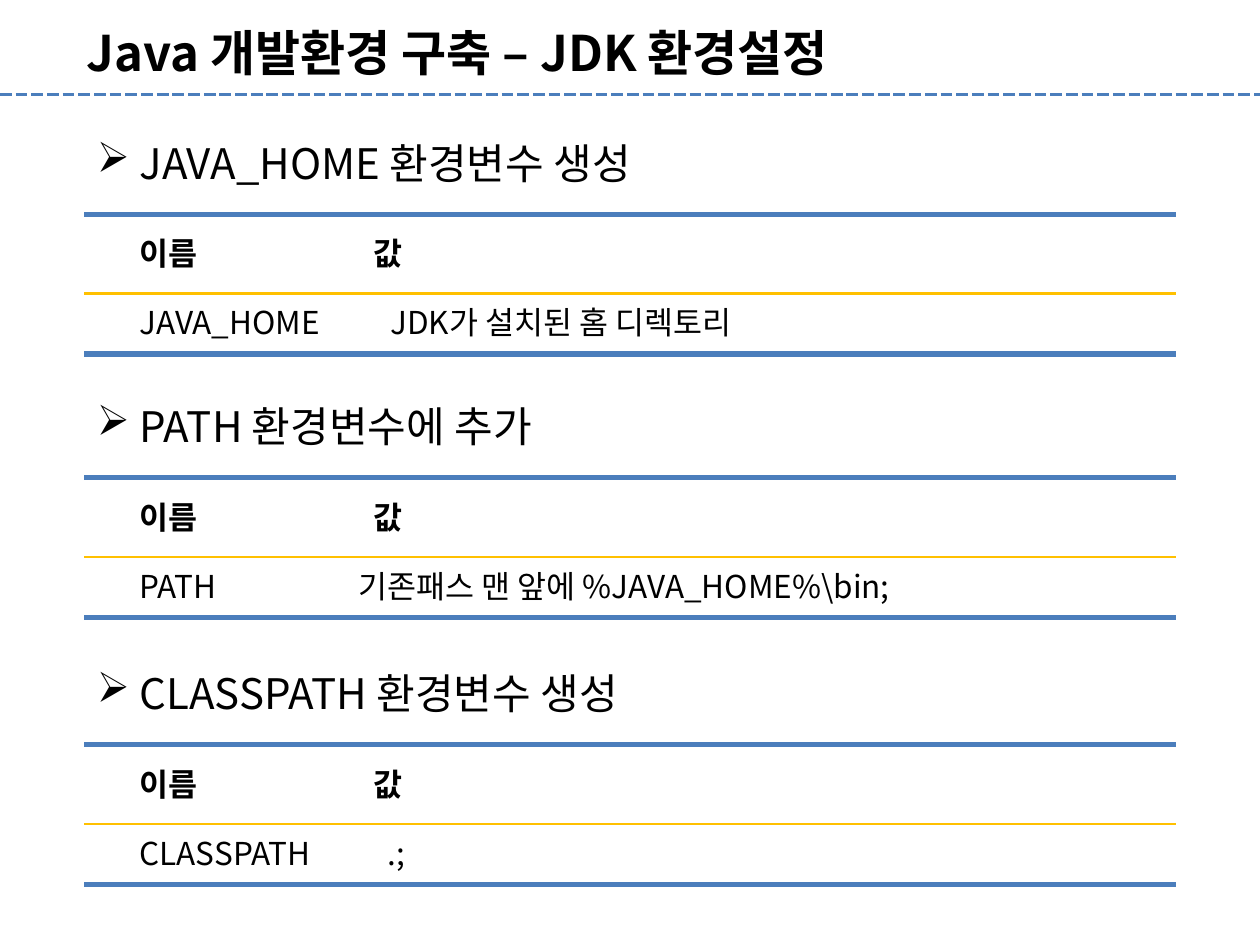
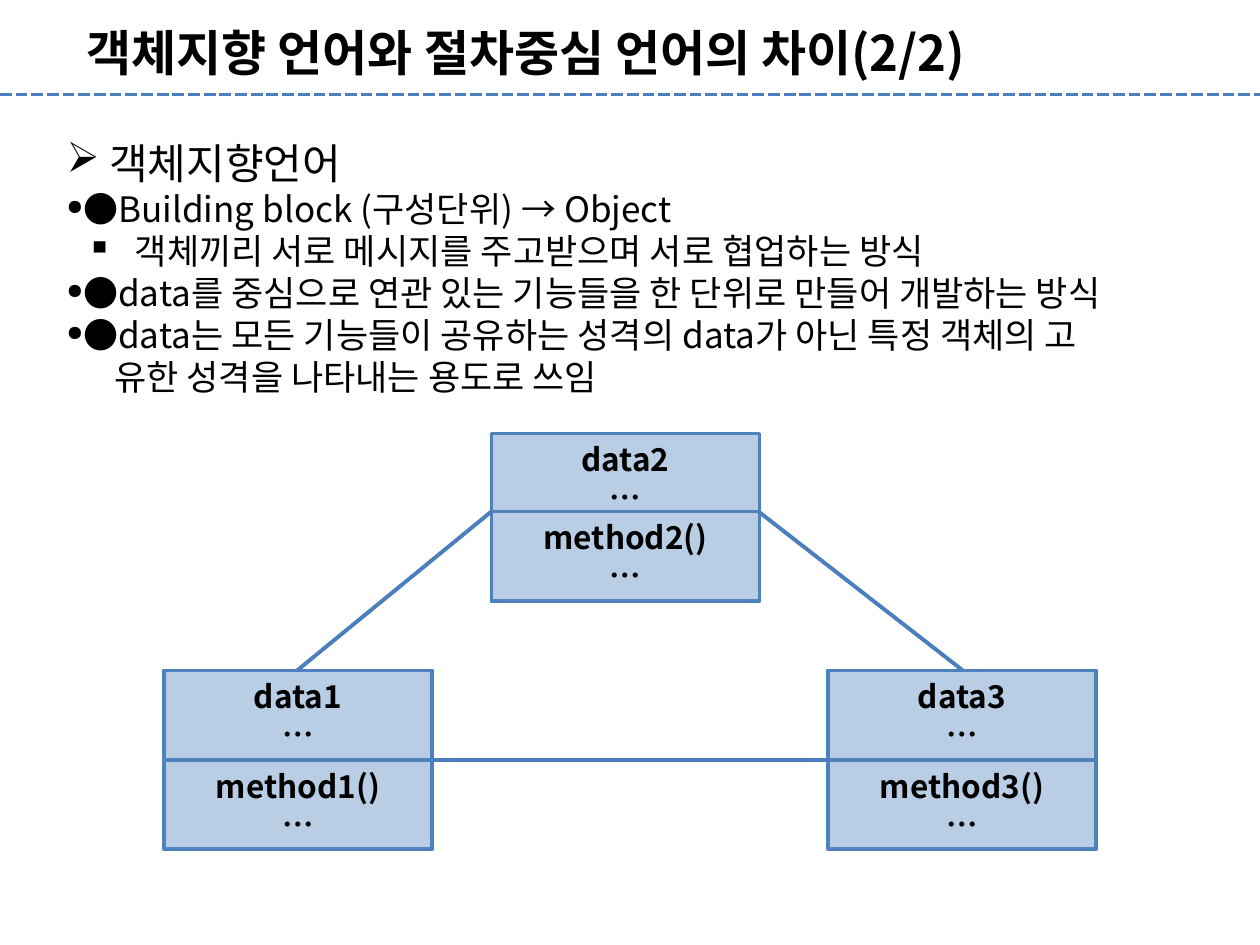
from lxml.etree import SubElement
from pptx import Presentation
from pptx.dml.color import RGBColor
from pptx.enum.dml import MSO_LINE_DASH_STYLE as DASH
from pptx.enum.shapes import MSO_CONNECTOR_TYPE as CONNECTOR
from pptx.enum.shapes import MSO_SHAPE as SHAPE
from pptx.enum.text import MSO_ANCHOR as ANCHOR
from pptx.enum.text import PP_ALIGN as ALIGN
from pptx.oxml.ns import qn
from pptx.util import Inches, Pt

COLORS = {
    "text": "000000",
    "rule": "4B7EBC",
    "header_rule": "FFC000",
    "box_fill": "B9CDE5",
    "box_line": "4F81BD",
}
FONT = "Noto Sans CJK KR"
HEADING_SIZE, BODY_SIZE, LABEL_SIZE = 24, 20, 18

# Each bullet: character, size in percent, left margin, first-line indent
ARROW = ("➢", 100, 0, 0)
DOT = ("●", 60, 0, 0)
SQUARE = ("▪", 100, 0.48, -0.32)
CONTINUED = (None, 100, 0.38, 0)


def color(name):
    return RGBColor.from_string(COLORS[name])


class Deck:
    def __init__(self):
        self.prs = Presentation()
        self.prs.slide_width, self.prs.slide_height = Inches(10), Inches(7.5)
        self.slide = None

    def new_slide(self, title):
        self.slide = self.prs.slides.add_slide(self.prs.slide_layouts[6])
        frame = self.text_frame(0.59, 0.13, 8.27, 0.57)
        frame.text = title
        self.style(frame.paragraphs[0], 28, bold=True)
        self.line((0, 0.75), (10, 0.75), dash=DASH.SQUARE_DOT)

    def style(self, paragraph, size, bold=False):
        for run in paragraph.runs:
            font = run.font
            font.name, font.size, font.bold = FONT, Pt(size), bold
            font.color.rgb = color("text")

    def text_frame(self, left, top, width, height):
        box = self.slide.shapes.add_textbox(
            Inches(left), Inches(top), Inches(width), Inches(height))
        box.text_frame.word_wrap = True
        return box.text_frame

    def bullets(self, left, top, width, height, items):
        """Write (bullet, size, text) items into one text box."""
        frame = self.text_frame(left, top, width, height)
        frame.text = "\n".join(text for _, _, text in items)
        for paragraph, (bullet, size, _) in zip(frame.paragraphs, items):
            self.style(paragraph, size)
            char, percent, margin, indent = bullet
            props = paragraph._p.get_or_add_pPr()
            props.set("marL", str(Inches(margin)))
            props.set("indent", str(Inches(indent)))
            if char:
                SubElement(props, qn("a:buSzPct"), val=str(percent * 1000))
                SubElement(props, qn("a:buChar"), char=char)

    def line(self, start, end, name="rule", width=2.25, dash=None):
        line = self.slide.shapes.add_connector(
            CONNECTOR.STRAIGHT, *map(Inches, start + end))
        line.line.color.rgb = color(name)
        line.line.width = Pt(width)
        if dash:
            line.line.dash_style = dash
        SubElement(line._element.spPr, qn("a:effectLst"))

    def name_value(self, top, width, name, value, value_offset, bold=False):
        """Write a name and its value, set apart by a tab stop."""
        frame = self.text_frame(1.01, top, width, 0.4)
        frame.text = f"{name}\t{value}"
        paragraph = frame.paragraphs[0]
        self.style(paragraph, LABEL_SIZE, bold)
        tabs = SubElement(paragraph._p.get_or_add_pPr(), qn("a:tabLst"))
        SubElement(tabs, qn("a:tab"), pos=str(Inches(value_offset)), algn="l")

    def variable_section(self, top, heading, name, value, value_offset, width):
        self.bullets(0.67, top, 8.58, 0.5, [(ARROW, HEADING_SIZE, heading)])
        rules = ((0.66, "rule", 3), (1.77, "rule", 3), (1.29, "header_rule", 1.5))
        for offset, rule, weight in rules:
            self.line((0.67, top + offset), (9.33, top + offset), rule, weight)
        self.name_value(top + 0.77, 2.75, "이름", "값", 1.86, bold=True)
        self.name_value(top + 1.32, width, name, value, value_offset)

    def member_box(self, left, top, member):
        box = self.slide.shapes.add_shape(
            SHAPE.RECTANGLE, Inches(left), Inches(top), Inches(2.13), Inches(0.71))
        box.shadow.inherit = False
        box.fill.solid()
        box.fill.fore_color.rgb = color("box_fill")
        box.line.color.rgb = color("box_line")
        box.line.width = Pt(2)
        frame = box.text_frame
        frame.vertical_anchor = ANCHOR.MIDDLE
        frame.text = f"{member}\n…"
        for paragraph in frame.paragraphs:
            paragraph.alignment = ALIGN.CENTER
            self.style(paragraph, LABEL_SIZE, bold=True)


def build_environment_slide(deck):
    deck.new_slide("Java 개발환경 구축 – JDK 환경설정")
    variables = (
        (1.04, "JAVA_HOME", "환경변수 생성", "JDK가 설치된 홈 디렉토리", 1.99, 5.48),
        (3.13, "PATH", "환경변수에 추가", r"기존패스 맨 앞에 %JAVA_HOME%\bin;", 1.74, 6.94),
        (5.25, "CLASSPATH", "환경변수 생성", ".;", 1.97, 2.66),
    )
    for top, name, action, value, value_offset, width in variables:
        deck.variable_section(
            top, f" {name} {action}", name, value, value_offset, width)


def build_object_slide(deck):
    deck.new_slide("객체지향 언어와 절차중심 언어의 차이(2/2)")
    deck.bullets(0.43, 1.04, 9.37, 2.19, [
        (ARROW, HEADING_SIZE, " 객체지향언어"),
        (DOT, BODY_SIZE, "●Building block (구성단위) → Object"),
        (SQUARE, BODY_SIZE, " 객체끼리 서로 메시지를 주고받으며 서로 협업하는 방식"),
        (DOT, BODY_SIZE, "●data를 중심으로 연관 있는 기능들을 한 단위로 만들어 개발하는 방식"),
        (DOT, BODY_SIZE, "●data는 모든 기능들이 공유하는 성격의 data가 아닌 특정 객체의 고"),
        (CONTINUED, BODY_SIZE, "유한 성격을 나타내는 용도로 쓰임"),
    ])
    objects = ((2, 3.9, 3.44, 4.06), (1, 1.3, 5.32, 6.03), (3, 6.57, 5.32, 6.03))
    for number, left, data_top, method_top in objects:
        deck.member_box(left, data_top, f"data{number}")
        deck.member_box(left, method_top, f"method{number}()")
    deck.line((3.9, 4.06), (2.36, 5.32))
    deck.line((6.02, 4.06), (7.64, 5.32))
    deck.line((3.43, 6.03), (6.57, 6.03))


def main():
    deck = Deck()
    build_environment_slide(deck)
    build_object_slide(deck)
    deck.prs.save("out.pptx")


if __name__ == "__main__":
    main()
